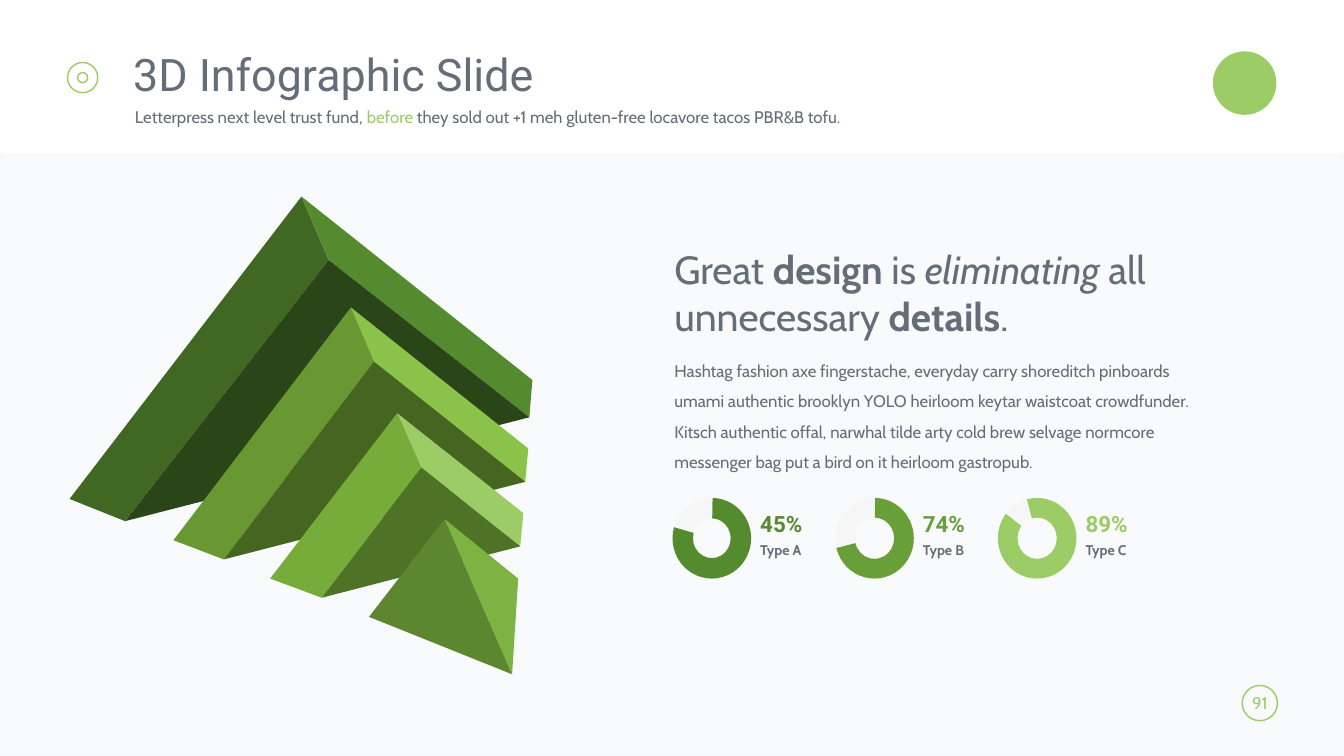
from pptx import Presentation
from pptx.dml.color import RGBColor
from pptx.enum.shapes import MSO_SHAPE
from pptx.enum.text import MSO_ANCHOR, PP_ALIGN
from pptx.oxml.ns import qn
from pptx.util import Inches, Pt
from lxml.etree import SubElement

GREY, LIME, PALE = "656D78", "9CCC65", "F6F6F6"
WIDE, HIGH = 13.33, 7.5


def tint(colour, code, alpha=None):
    """Set a colour from a hex string, with opacity in percent."""
    colour.rgb = RGBColor.from_string(code)
    if alpha is not None:
        node = colour._xFill.find(qn("a:srgbClr"))
        SubElement(node, qn("a:alpha"), val=str(alpha * 1000))


def paint(shape, fill=None, line=None, width=1, clear=(None, None)):
    shape.shadow.inherit = False
    if fill:
        shape.fill.solid()
        tint(shape.fill.fore_color, fill, clear[0])
    else:
        shape.fill.background()
    if line:
        shape.line.width = Pt(width)
        shape.line.fill.solid()
        tint(shape.line.color, line, clear[1])
    else:
        shape.line.fill.background()
    return shape


def draw(slide, kind, box, **look):
    shape = slide.shapes.add_shape(kind, *map(Inches, box))
    return paint(shape, **look)


def write(shape, runs, size, font="Cabin", colour=GREY, bold=None, space=None,
          align=PP_ALIGN.LEFT, anchor=MSO_ANCHOR.TOP, inset=None):
    """Fill a shape with one paragraph; a run is (text, format)."""
    frame = shape.text_frame
    frame.word_wrap = True
    frame.vertical_anchor = anchor
    if inset is not None:
        frame.margin_left = frame.margin_right = Inches(inset)
        frame.margin_top = frame.margin_bottom = Inches(inset)
    par = frame.paragraphs[0]
    par.alignment, par.line_spacing, par.space_before = align, space, Pt(0)
    par.font.size, par.font.name, par.font.bold = Pt(size), font, bold
    tint(par.font.color, colour)
    for text, form in runs:
        run = par.add_run()
        run.text = text
        if form == "bold":
            run.font.bold = True
        elif form == "italic":
            run.font.italic = True
        elif form:
            tint(run.font.color, form)


def label(slide, box, runs, size, **look):
    write(slide.shapes.add_textbox(*map(Inches, box)), runs, size, **look)


def frame(slide, box):
    """Body panel, logo spot and page number."""
    x, y, w, h = box
    top = h * 0.204
    draw(slide, MSO_SHAPE.RECTANGLE, (x, y + top, w, h - top), fill="7B8DB3",
         line="EBEBEB", width=2, clear=(4, 10))
    draw(slide, MSO_SHAPE.OVAL, (x + w - 1.3, y + 0.51, 0.63, 0.63), fill=LIME)
    page = draw(slide, MSO_SHAPE.ROUNDED_RECTANGLE,
                (x + w - 1.01, y + h - 0.7, 0.35, 0.35), line=LIME)
    page.adjustments[0] = 0.5
    write(page, [("91", None)], 12, colour=LIME, align=PP_ALIGN.CENTER,
          anchor=MSO_ANCHOR.MIDDLE, inset=0)


def header(slide, box):
    """Ring marker, title and tagline."""
    x, y, w, h = box
    for size in (0.3, 0.1):
        draw(slide, MSO_SHAPE.OVAL,
             (x + 0.15 - size / 2, y + 0.27 - size / 2, size, size), line=LIME)
    title = slide.shapes.title
    title.left, title.top, title.width, title.height = map(
        Inches, (x + 0.55, y, w - 0.55, 0.53))
    write(title, [("3D Infographic Slide", None)], 32, font="Roboto",
          space=0.9, anchor=MSO_ANCHOR.MIDDLE)
    label(slide, (x + 0.57, y + 0.53, w - 0.57, h - 0.53), [
        ("Letterpress next level trust fund, ", None),
        ("before", LIME),
        (" they sold out +1 meh gluten-free locavore tacos PBR&B tofu.", None),
    ], 12, space=0.9)


# Corners in hundredths of an inch: tail, apex, inner, foot, low, tip
# Colours: left face, right face, underside
ARROWS = [
    ([(0, 300), (230, 0), (257, 63), (55, 322), (456, 219), (459, 182)],
     ("406823", "558B2F", "2A4618")),
    ([(103, 341), (279, 110), (302, 164), (153, 360), (452, 283), (455, 250)],
     ("699832", "8BC34A", "466521")),
    ([(199, 379), (325, 215), (349, 269), (250, 398), (447, 347), (450, 314)],
     ("76AC39", "9CCC65", "4F7326")),
]
# Corners: tail, apex, foot, tip
PEAK = [(297, 417), (372, 320), (439, 474), (445, 379)]


def arrows(slide, left, top):
    """Three nested arrows and the peak that closes them."""
    def face(points, code):
        form = slide.shapes.build_freeform(*points[0], scale=Inches(0.01))
        form.add_line_segments(points[1:])
        paint(form.convert_to_shape(Inches(left), Inches(top)), fill=code)

    for (tail, apex, inner, foot, low, tip), codes in ARROWS:
        sides = ((tail, apex, inner, foot), (apex, inner, low, tip),
                 (foot, inner, low))
        for side, code in zip(sides, codes):
            face(side, code)
    tail, apex, foot, tip = PEAK
    face((apex, tail, foot), "5D8631")
    face((apex, foot, tip), "7CB342")


def story(slide, box):
    """Headline over a paragraph."""
    x, y, w, h = box
    label(slide, (x, y, w, 1.04), [
        ("Great ", None), ("design", "bold"), (" is ", None),
        ("eliminating", "italic"), (" all unnecessary ", None),
        ("details", "bold"), (".", None)], 28)
    label(slide, (x, y + 1.05, w - 0.14, h - 1.05), [(
        "Hashtag fashion axe fingerstache, everyday carry shoreditch pinboards "
        "umami authentic brooklyn YOLO heirloom keytar waistcoat crowdfunder. "
        "Kitsch authentic offal, narwhal tilde arty cold brew selvage normcore "
        "messenger bag put a bird on it heirloom gastropub.", None)],
        12, space=1.5)


# Share, name, colour, arc start, arc end, thickness
RINGS = [
    ("45%", "Type A", "558B2F", 162.64, 117.75, 0.26),
    ("74%", "Type B", "689F38", 162.64, 99.36, 0.25),
    ("89%", "Type C", LIME, 153.14, 130.79, 0.25),
]


def rings(slide, box):
    """A row of ring gauges with their labels."""
    x, y, w, h = box
    step = w / len(RINGS)
    for i, (share, name, code, *arc) in enumerate(RINGS):
        left = x + i * step
        spot = (left, y, 0.78, h)
        draw(slide, MSO_SHAPE.DONUT, spot, fill=PALE)
        gauge = draw(slide, MSO_SHAPE.BLOCK_ARC, spot, fill=code)
        for j, value in enumerate(arc):
            gauge.adjustments[j] = value
        label(slide, (left + 0.87, y + 0.15, 0.49, 0.29), [(share, None)], 16,
              font="Roboto", colour=code, bold=True, space=0.9, inset=0)
        label(slide, (left + 0.87, y + 0.45, 0.49, 0.23), [(name, None)], 10,
              bold=True, space=0.9, inset=0)


def main():
    deck = Presentation()
    deck.slide_width, deck.slide_height = Inches(WIDE), Inches(HIGH)
    slide = deck.slides.add_slide(deck.slide_layouts[5])
    frame(slide, (0, 0, WIDE, HIGH))
    header(slide, (0.67, 0.5, 10.62, 0.82))
    arrows(slide, 0.69, 1.95)
    story(slide, (6.59, 2.38, 5.46, 2.36))
    rings(slide, (6.67, 4.94, 4.84, 0.8))
    deck.save("out.pptx")


if __name__ == "__main__":
    main()
